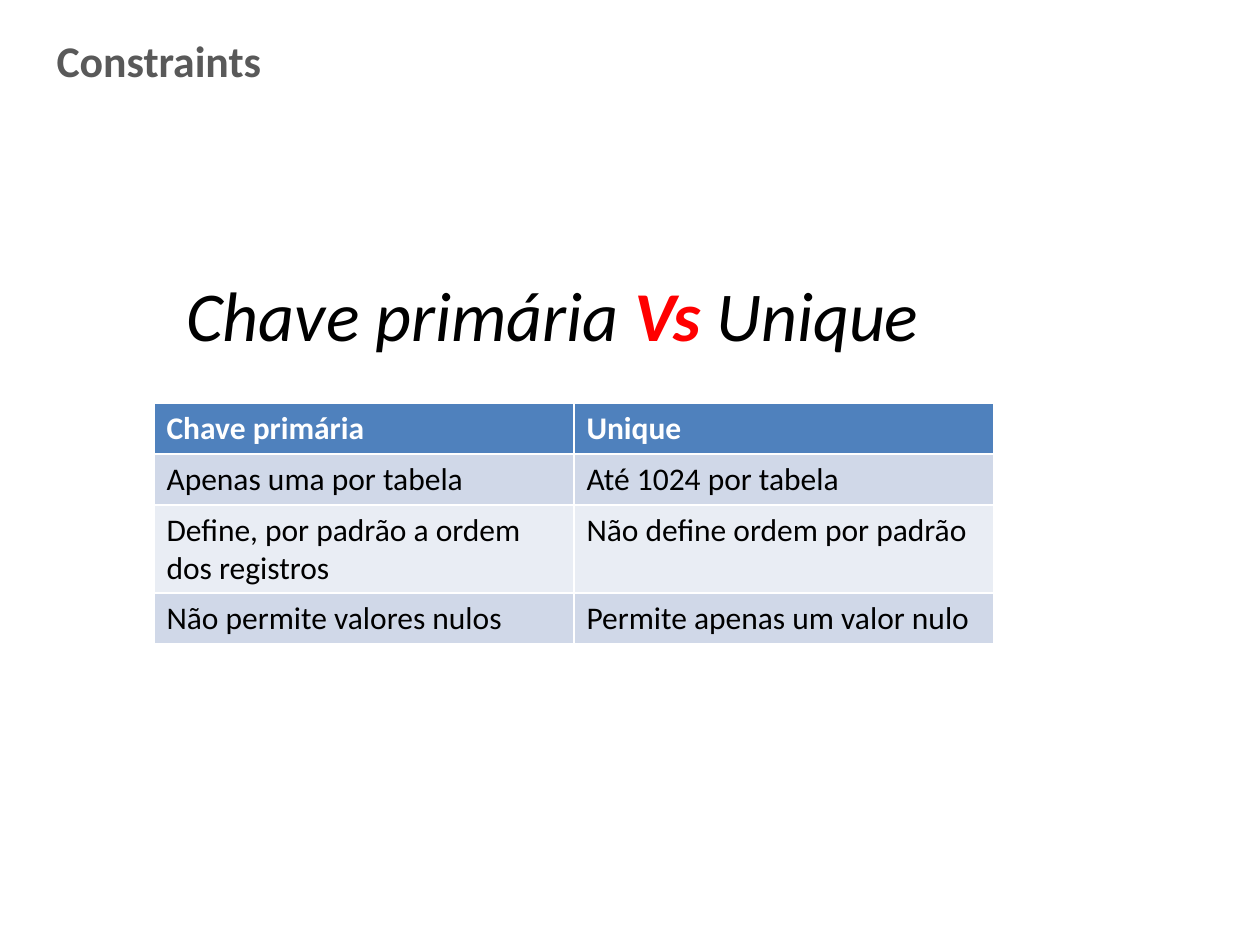
from pptx import Presentation
from pptx.dml.color import RGBColor
from pptx.enum.text import MSO_ANCHOR, PP_ALIGN
from pptx.util import Emu, Pt


def px(length):
    return Emu(round(length * 914400 / 126))


def add_run(para, text, size, color, bold=False, italic=False):
    span = para.add_run()
    span.text = text
    span.font.name = "Calibri"
    span.font.size = Pt(size)
    span.font.bold = bold
    span.font.italic = italic
    span.font.color.rgb = RGBColor.from_string(color)


deck = Presentation()
deck.slide_width, deck.slide_height = px(1260), px(945)
page = deck.slides.add_slide(deck.slide_layouts[5])

title = page.shapes.title
title.left, title.top, title.width, title.height = px(44), px(27), px(635), px(65)
title.text_frame.vertical_anchor = MSO_ANCHOR.TOP
title_para = title.text_frame.paragraphs[0]
title_para.alignment = PP_ALIGN.LEFT
add_run(title_para, "Constraints", 25, "595959", bold=True)

heading = page.shapes.add_textbox(px(174), px(265), px(1052), px(97))
heading.text_frame.word_wrap = True
heading_para = heading.text_frame.paragraphs[0]
add_run(heading_para, "Chave primária ", 40, "000000", italic=True)
add_run(heading_para, "Vs ", 40, "FF0000", bold=True, italic=True)
add_run(heading_para, "Unique", 40, "000000", italic=True)

rows = [
    ("Chave primária", "Unique"),
    ("Apenas uma por tabela", "Até 1024 por tabela"),
    ("Define, por padrão a ordem dos registros", "Não define ordem por padrão"),
    ("Não permite valores nulos", "Permite apenas um valor nulo"),
]
row_fills = ["4F81BD", "D0D8E8", "E9EDF4", "D0D8E8"]
table = page.shapes.add_table(4, 2, px(154), px(403), px(840), px(204)).table
for row_index, (texts, fill) in enumerate(zip(rows, row_fills)):
    is_header = row_index == 0
    for column_index, text in enumerate(texts):
        cell = table.cell(row_index, column_index)
        cell.fill.solid()
        cell.fill.fore_color.rgb = RGBColor.from_string(fill)
        color = "FFFFFF" if is_header else "000000"
        add_run(cell.text_frame.paragraphs[0], text, 18, color, bold=is_header)

deck.save("out.pptx")
